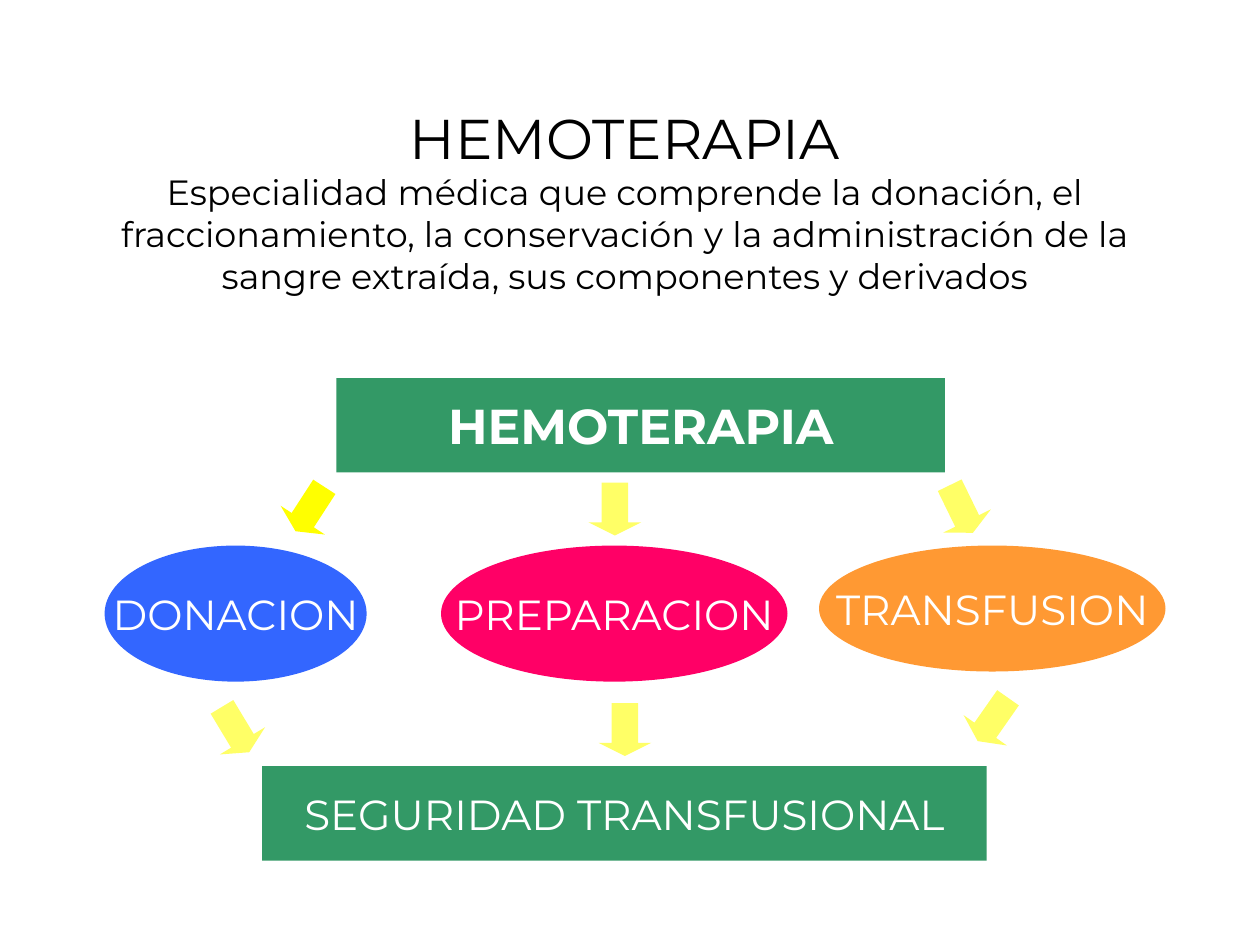
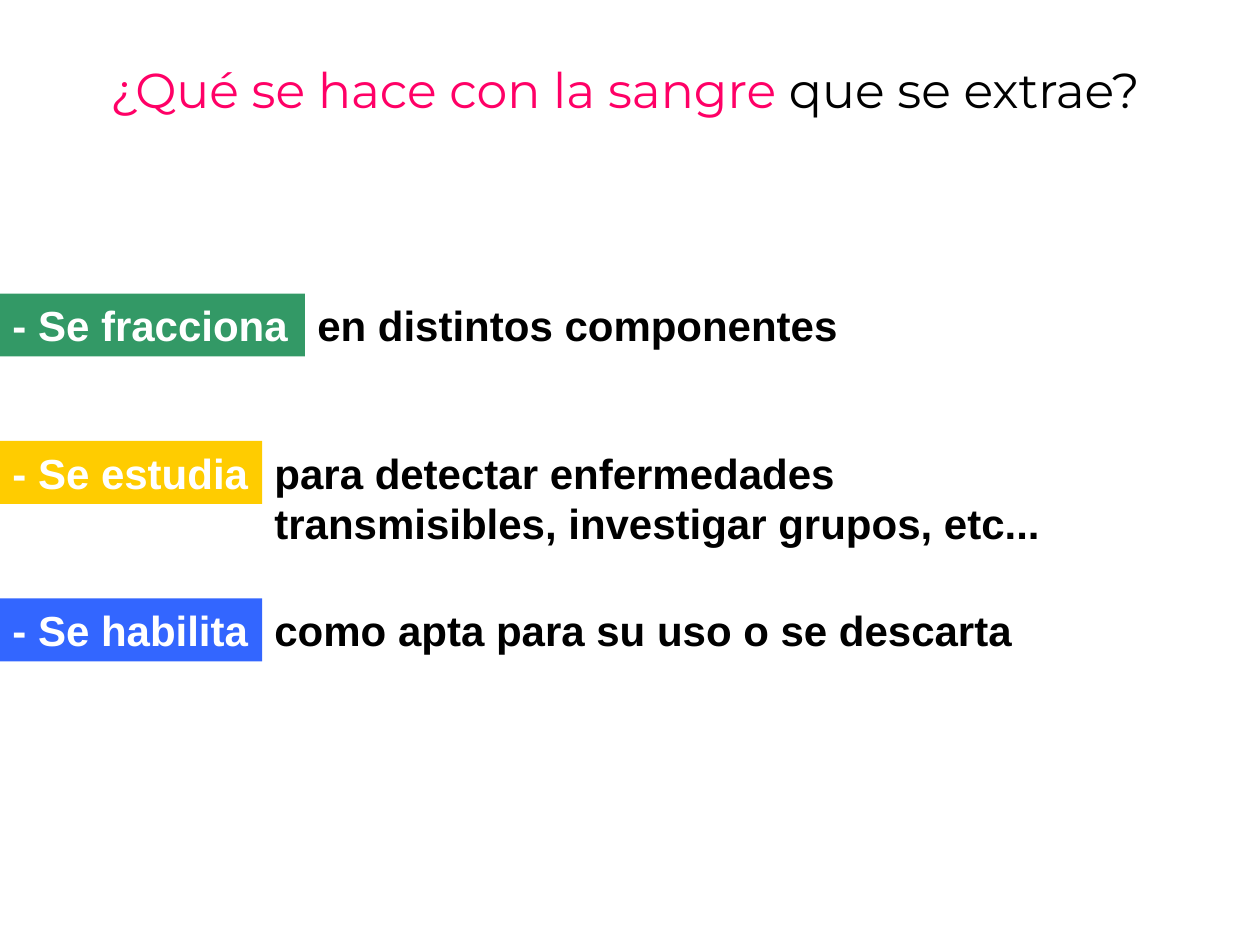
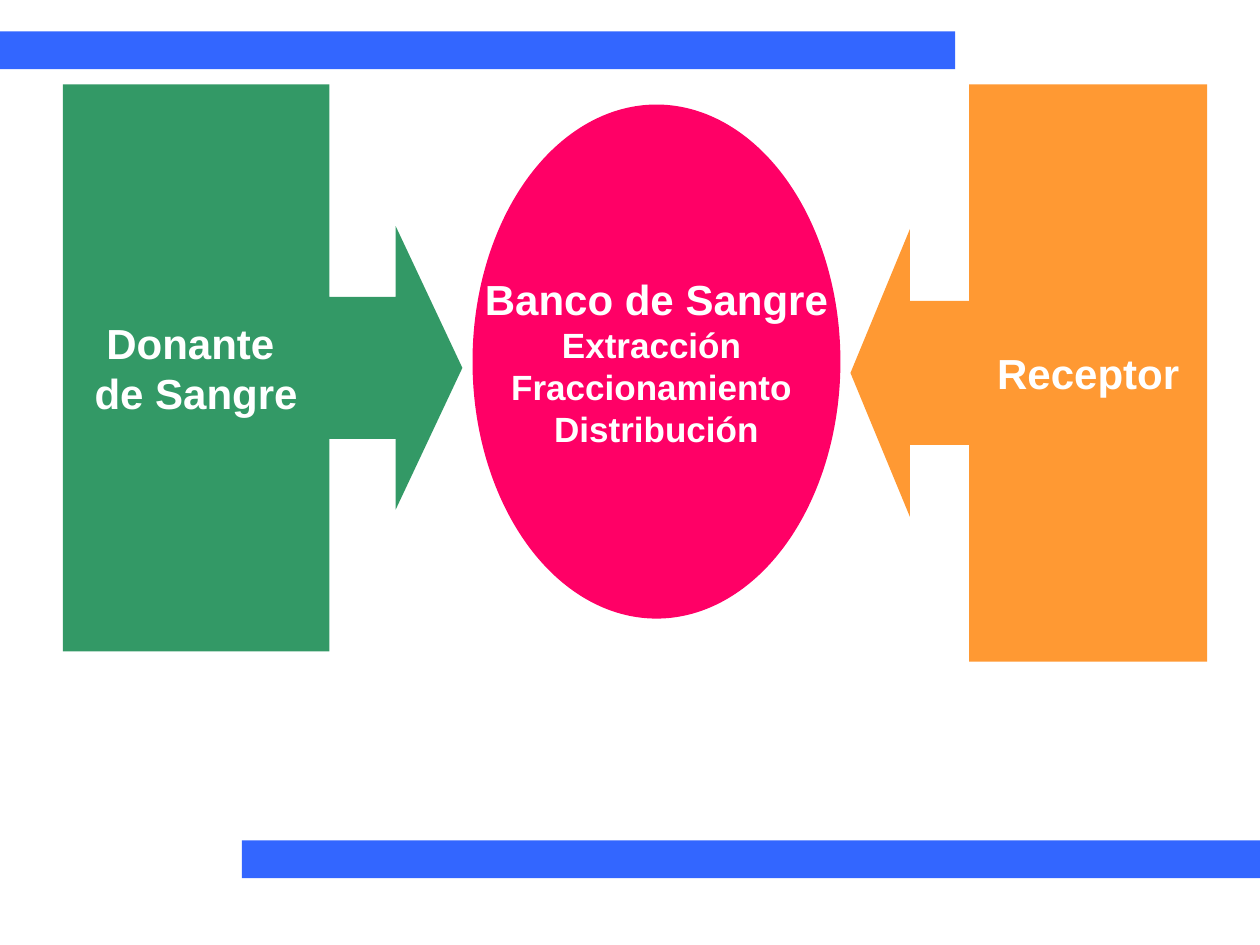
"""Builds three slides about haemotherapy and the path of donated blood."""
from pptx import Presentation
from pptx.dml.color import RGBColor
from pptx.enum.shapes import MSO_SHAPE
from pptx.enum.text import MSO_ANCHOR, MSO_AUTO_SIZE, PP_ALIGN
from pptx.util import Inches, Pt

RECTANGLE, OVAL = MSO_SHAPE.RECTANGLE, MSO_SHAPE.OVAL
CONNECTOR_CIRCLE = MSO_SHAPE.FLOWCHART_CONNECTOR
DOWN_ARROW = MSO_SHAPE.DOWN_ARROW
RIGHT_CALLOUT = MSO_SHAPE.RIGHT_ARROW_CALLOUT
LEFT_CALLOUT = MSO_SHAPE.LEFT_ARROW_CALLOUT
LEFT, CENTER = PP_ALIGN.LEFT, PP_ALIGN.CENTER
TOP, MIDDLE = MSO_ANCHOR.TOP, MSO_ANCHOR.MIDDLE
FIT_SHAPE, NO_FIT = MSO_AUTO_SIZE.SHAPE_TO_FIT_TEXT, MSO_AUTO_SIZE.NONE

COLORS = {
    "black": "000000", "white": "FFFFFF", "green": "339966", "blue": "3366FF",
    "pink": "FF0066", "orange": "FF9933", "gold": "FFCC00",
    "yellow": "FFFF00", "pale yellow": "FFFF66",
}
TITLE = {"name": "Montserrat", "size": Pt(32), "bold": False}
QUESTION = {**TITLE, "size": Pt(28)}
DEFINITION = {**TITLE, "size": Pt(20)}
STAGE = {**TITLE, "size": Pt(24)}
HEADING = {**QUESTION, "bold": True}
STRONG = {"name": "Arial", "size": Pt(24), "bold": True}
STEP = {**STRONG, "size": Pt(20)}

CENTERED = {"word_wrap": False, "vertical_anchor": MIDDLE, "auto_size": NO_FIT}
WRAPPED = {**CENTERED, "word_wrap": True}
FITTED = {"word_wrap": True, "vertical_anchor": TOP, "auto_size": FIT_SHAPE}


def color(name):
    """Return the RGB value of a named colour."""
    return RGBColor.from_string(COLORS[name])


def apply(target, values):
    """Set each attribute in values on target."""
    for attribute, value in values.items():
        setattr(target, attribute, value)


def write(holder, lines, layout, align):
    """Write lines of (text, style, colour) runs; a final newline is a line break."""
    frame = holder.text_frame
    apply(frame, layout)
    for index, line in enumerate(lines):
        paragraph = frame.add_paragraph() if index else frame.paragraphs[0]
        paragraph.alignment = align
        for text, style, ink in line:
            run = paragraph.add_run()
            run.text = text.rstrip("\n")
            apply(run.font, style)
            run.font.color.rgb = color(ink)
            if text.endswith("\n"):
                paragraph.add_line_break()


def add_block(slide, kind, box, fill, lines=(), layout=CENTERED, align=CENTER):
    """Add a borderless filled shape with optional text."""
    block = slide.shapes.add_shape(kind, *map(Inches, box))
    block.shadow.inherit = False
    block.fill.solid()
    block.fill.fore_color.rgb = color(fill)
    block.line.fill.background()
    if lines:
        write(block, lines, layout, align)
    return block


def add_text(slide, box, lines, layout=FITTED, align=LEFT):
    """Add a text box."""
    write(slide.shapes.add_textbox(*map(Inches, box)), lines, layout, align)


def add_arrow(slide, left, top, rotation, fill="pale yellow"):
    """Add a small down arrow turned by rotation degrees."""
    arrow = add_block(slide, DOWN_ARROW, (left, top, 0.42, 0.42), fill)
    arrow.rotation = rotation
    arrow.adjustments[0], arrow.adjustments[1] = 0.5, 0.25


def add_callout(slide, kind, box, fill, shaft, lines):
    """Add an arrow callout whose head is twice as wide as its shaft."""
    callout = add_block(slide, kind, box, fill, lines)
    for index, value in enumerate((shaft, shaft, 0.167, 0.667)):
        callout.adjustments[index] = value


def build_overview(slide):
    """Define haemotherapy and show its three stages."""
    definition = ("Especialidad médica que comprende la donación, el fraccionamiento, "
                  "la conservación y la administración de la sangre extraída, "
                  "sus componentes y derivados")
    add_text(slide, (0.75, 0.42, 8.42, 2.33),
             [[("HEMOTERAPIA\n", TITLE, "black"), (definition, DEFINITION, "black")]],
             WRAPPED, CENTER)
    blocks = (
        (RECTANGLE, (2.67, 3, 4.83, 0.75), "green", "HEMOTERAPIA", HEADING),
        (RECTANGLE, (2.08, 6.08, 5.75, 0.75), "green", "SEGURIDAD TRANSFUSIONAL", STAGE),
        (OVAL, (0.83, 4.33, 2.08, 1.08), "blue", "DONACION", STAGE),
        (OVAL, (3.5, 4.33, 2.75, 1.08), "pink", "PREPARACION", STAGE),
        (OVAL, (6.5, 4.33, 2.75, 1), "orange", "TRANSFUSION", STAGE),
    )
    for kind, box, fill, text, style in blocks:
        add_block(slide, kind, box, fill, [[(text, style, "white")]])
    add_arrow(slide, 2.25, 3.83, 33, "yellow")
    for left, top, rotation in ((7.67, 5.5, 35), (1.66, 5.58, 329), (7.42, 3.83, 334),
                                (4.75, 5.58, 0), (4.67, 3.83, 0)):
        add_arrow(slide, left, top, rotation)


def build_processing(slide):
    """List what is done with the extracted blood."""
    add_text(slide, (0.25, 0.42, 9.42, 0.57),
             [[("¿Qué se hace con la sangre", QUESTION, "pink"),
               (" que se extrae?", QUESTION, "black")]], align=CENTER)
    actions = (
        (2.33, 2.42, "green", "- Se fracciona", 4.75, 0.5, "en distintos componentes"),
        (3.5, 2.08, "gold", "- Se estudia", 6.5, 0.9,
         "para detectar enfermedades transmisibles, investigar grupos, etc..."),
        (4.75, 2.08, "blue", "- Se habilita", 6.17, 0.5,
         "como apta para su uso o se descarta"),
    )
    for top, label_width, fill, label, width, height, detail in actions:
        add_block(slide, RECTANGLE, (0, top, label_width, 0.5), fill,
                  [[(label, STRONG, "white")]], FITTED, LEFT)
        add_text(slide, (label_width, top, width, height), [[(detail, STRONG, "black")]])


def build_blood_bank(slide):
    """Show the blood bank between donor and recipient."""
    add_callout(slide, RIGHT_CALLOUT, (0.5, 0.67, 3.17, 4.5), "green", 0.355,
                [[(text, STRONG, "white")] for text in ("Donante ", "de Sangre")])
    add_callout(slide, LEFT_CALLOUT, (6.75, 0.67, 2.83, 4.58), "orange", 0.404,
                [[("Receptor", STRONG, "white")]])
    steps = ("Extracción ", "Fraccionamiento ", "Distribución")
    add_block(slide, CONNECTOR_CIRCLE, (3.75, 0.83, 2.92, 4.08), "pink",
              [[("Banco de Sangre", STRONG, "white")],
               *([(step, STEP, "white")] for step in steps)])
    for left, top, width in ((0, 0.25, 7.58), (1.92, 6.67, 8.08)):
        add_block(slide, RECTANGLE, (left, top, width, 0.3), "blue")


def main():
    """Build and save the presentation."""
    deck = Presentation()
    deck.slide_width, deck.slide_height = Inches(10), Inches(7.5)
    for build in (build_overview, build_processing, build_blood_bank):
        build(deck.slides.add_slide(deck.slide_layouts[6]))
    deck.save("out.pptx")


if __name__ == "__main__":
    main()
